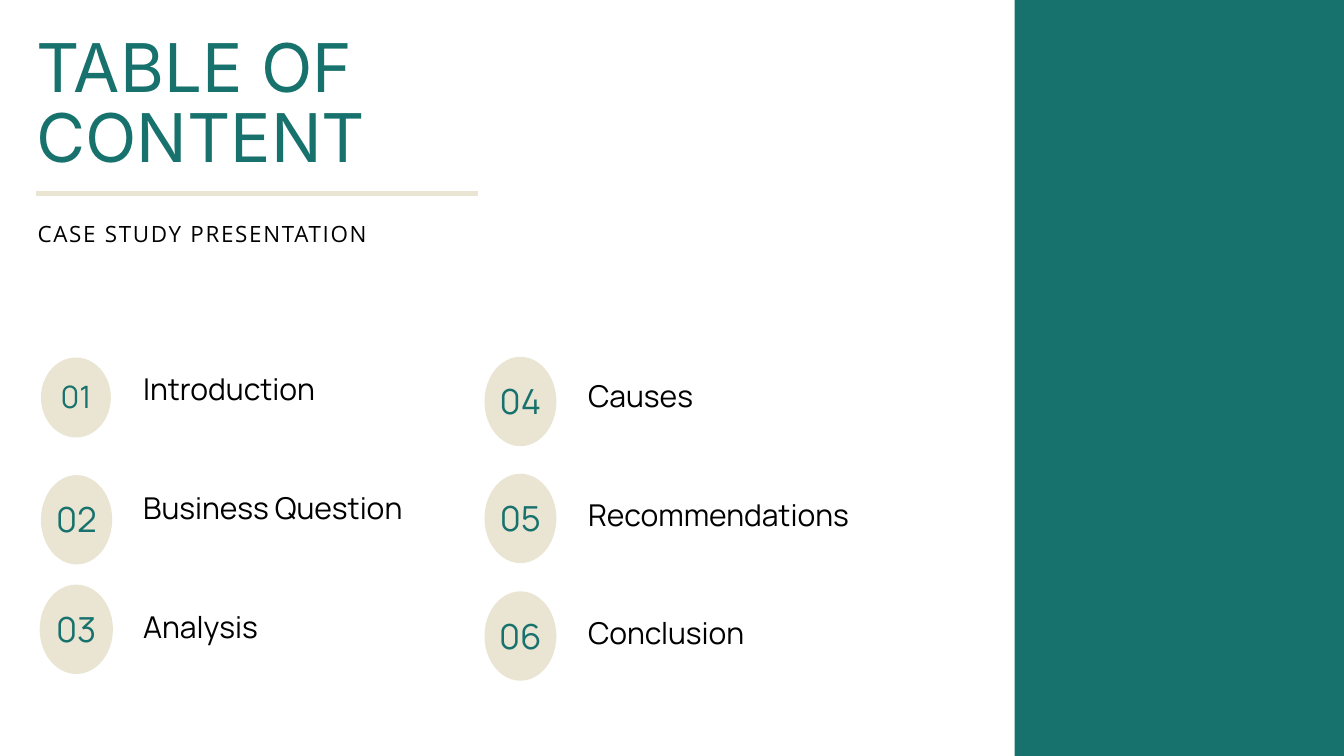
from lxml import etree
from pptx import Presentation
from pptx.dml.color import RGBColor
from pptx.enum.shapes import MSO_CONNECTOR, MSO_SHAPE
from pptx.enum.text import MSO_ANCHOR, MSO_AUTO_SIZE, PP_ALIGN
from pptx.oxml.ns import qn
from pptx.util import Inches, Pt

STRAIGHT = MSO_CONNECTOR.STRAIGHT
OVAL, RECTANGLE = MSO_SHAPE.OVAL, MSO_SHAPE.RECTANGLE
TOP, MIDDLE = MSO_ANCHOR.TOP, MSO_ANCHOR.MIDDLE
LEFT, CENTER = PP_ALIGN.LEFT, PP_ALIGN.CENTER
NO_AUTOFIT = MSO_AUTO_SIZE.NONE

COLORS = {"teal": "17726D", "sand": "EAE4D2", "black": "000000", "white": "FFFFFF"}
ROW_PITCH = 1.765
# Each column: label left, first label top, entries.
# Each entry: label, badge left, top, width, height, number size.
COLUMNS = [
    (2.13, 5.43, [
        ("Introduction", 0.61, 5.32, 1.04, 1.19, 33),
        ("Business Question", 0.61, 7.07, 1.06, 1.33, 37),
        ("Analysis", 0.59, 8.7, 1.09, 1.33, 37),
    ]),
    (8.75, 5.53, [
        ("Causes", 7.21, 5.31, 1.07, 1.33, 37),
        ("Recommendations", 7.21, 7.05, 1.07, 1.33, 37),
        ("Conclusion", 7.21, 8.8, 1.07, 1.33, 37),
    ]),
]


def color(name):
    return RGBColor.from_string(COLORS[name])


def set_text(shape, text, font, size, color_name, leading,
             align=LEFT, anchor=TOP, wrap=True, bottom=0):
    frame = shape.text_frame
    frame.text = text
    frame.word_wrap = wrap
    frame.auto_size = NO_AUTOFIT
    frame.vertical_anchor = anchor
    frame.margin_left = frame.margin_right = frame.margin_top = 0
    frame.margin_bottom = Inches(bottom)
    paragraph = frame.paragraphs[0]
    paragraph.alignment = align
    paragraph.line_spacing = Pt(leading)
    paragraph.font.name = font
    paragraph.font.size = Pt(size)
    paragraph.font.color.rgb = color(color_name)


def add_filled_shape(slide, kind, box, color_name):
    shape = slide.shapes.add_shape(kind, *map(Inches, box))
    shape.shadow.inherit = False
    shape.fill.solid()
    shape.fill.fore_color.rgb = color(color_name)
    shape.line.fill.background()
    return shape


def add_label(slide, box, text, font, size, leading):
    label = slide.shapes.add_textbox(*map(Inches, box))
    set_text(label, text, font, size, "black", leading)
    return label


def add_badge(slide, box, number, size):
    badge = add_filled_shape(slide, OVAL, box, "sand")
    set_text(badge, f"{number:02d}", "Manrope", size, "teal", size * 1.4,
             CENTER, MIDDLE, wrap=False, bottom=0.12)


def add_title(slide):
    title = slide.shapes.title
    title.left, title.top = Inches(0.54), Inches(0.52)
    title.width, title.height = Inches(5.39), Inches(2.12)
    set_text(title, "TABLE OF CONTENT", "Inter", 72, "teal", 75.6)


def add_rule(slide):
    rule = slide.shapes.add_connector(
        STRAIGHT, Inches(0.54), Inches(2.88), Inches(7.11), Inches(2.88))
    rule.line.color.rgb = color("sand")
    rule.line.width = Pt(6)
    etree.SubElement(rule._element.spPr, qn("a:effectLst"))


def add_subtitle(slide):
    subtitle = add_label(slide, (0.56, 3.21, 7.46, 0.43),
                         "CASE STUDY PRESENTATION", "Open Sans", 24, 33.6)
    run = subtitle.text_frame.paragraphs[0].runs[0]
    run._r.get_or_add_rPr().set("spc", "180")


def add_contents(slide):
    number = 0
    for left, top, entries in COLUMNS:
        for row, (text, *badge_box, size) in enumerate(entries):
            number += 1
            add_badge(slide, badge_box, number, size)
            add_label(slide, (left, top + row * ROW_PITCH, 4.88, 0.64),
                      text, "Manrope", 32.2, 45.1)


def main():
    presentation = Presentation()
    presentation.slide_width = Inches(20)
    presentation.slide_height = Inches(11.25)
    slide = presentation.slides.add_slide(presentation.slide_layouts[5])
    slide.background.fill.solid()
    slide.background.fill.fore_color.rgb = color("white")
    add_filled_shape(slide, RECTANGLE, (15.1, 0, 4.9, 11.25), "teal")
    add_title(slide)
    add_rule(slide)
    add_subtitle(slide)
    add_contents(slide)
    presentation.save("out.pptx")


if __name__ == "__main__":
    main()
